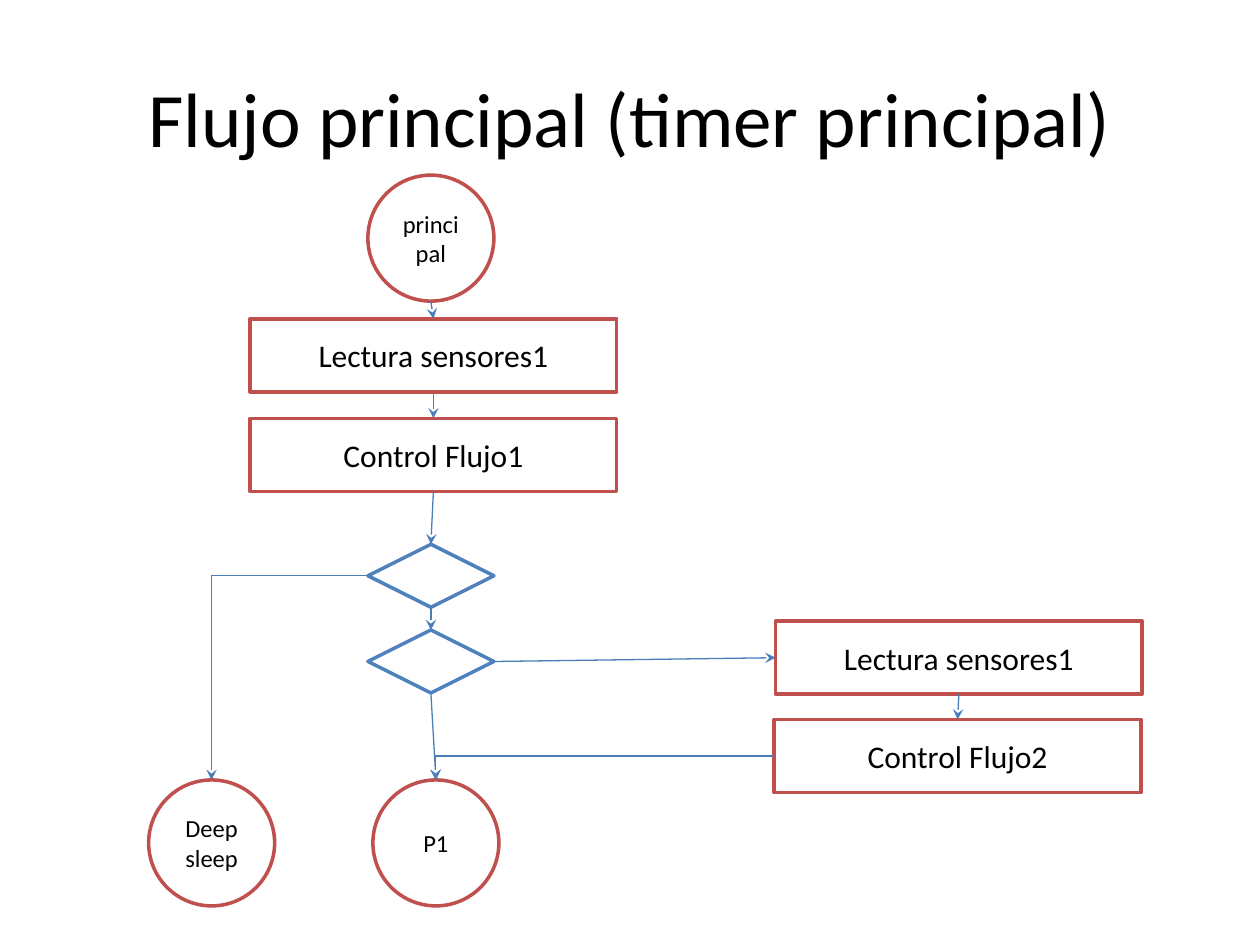
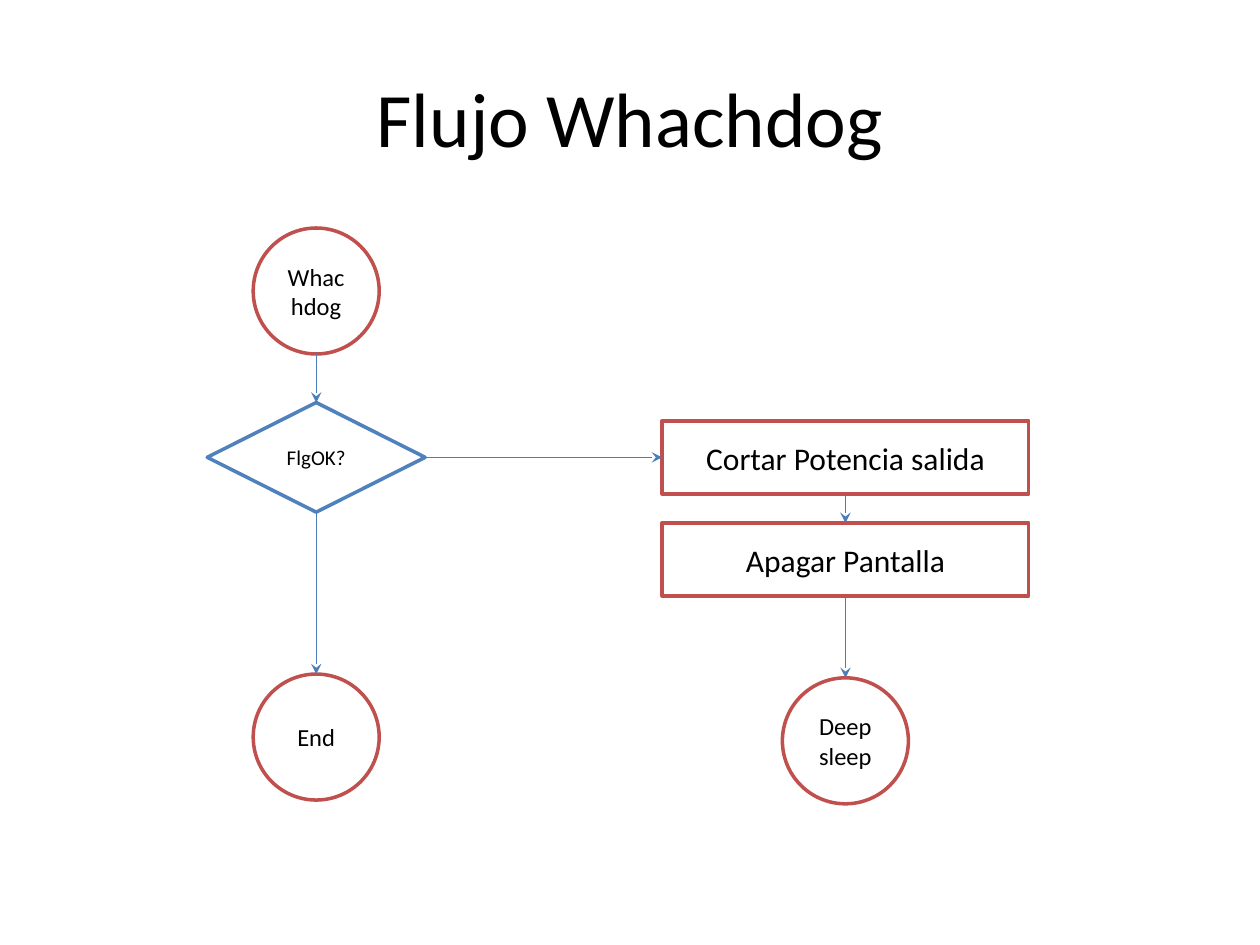
from pptx import Presentation
from pptx.dml.color import RGBColor
from pptx.enum.shapes import MSO_CONNECTOR, MSO_SHAPE
from pptx.enum.text import MSO_ANCHOR, PP_ALIGN
from pptx.oxml.ns import qn
from pptx.util import Inches, Pt
from lxml import etree

STRAIGHT, ELBOW = MSO_CONNECTOR.STRAIGHT, MSO_CONNECTOR.ELBOW
RECTANGLE, ELLIPSE, DIAMOND = MSO_SHAPE.RECTANGLE, MSO_SHAPE.OVAL, MSO_SHAPE.DIAMOND
MIDDLE, CENTER = MSO_ANCHOR.MIDDLE, PP_ALIGN.CENTER

WHITE = RGBColor(0xFF, 0xFF, 0xFF)
BLACK = RGBColor(0x00, 0x00, 0x00)
RED = RGBColor(0xC0, 0x50, 0x4D)
BLUE = RGBColor(0x4F, 0x81, 0xBD)
ARROW_BLUE = RGBColor(0x4A, 0x7D, 0xBA)
FONT = "Calibri"

CELL = Inches(0.1)  # both flows are laid out on this grid
TITLE_BOX = (0.05, 0.04, 0.9, 1 / 6)  # shares of the slide's size

# Node kinds: preset shape, width and height in cells, line colour, text size
TERMINAL = (ELLIPSE, 10, 10, RED, 14)
PROCESS = (RECTANGLE, 29.1, 5.8, RED, 18)
BRANCH = (DIAMOND, 10, 5, BLUE, 12)
QUESTION = (DIAMOND, 17.3, 8.7, BLUE, 12)

# Sides of a node, in the order of its connection sites
TOP, LEFT, BOTTOM, RIGHT = range(4)


def write(shape, text, size):
    frame = shape.text_frame
    frame.word_wrap = True
    frame.vertical_anchor = MIDDLE
    paragraph = frame.paragraphs[0]
    paragraph.alignment = CENTER
    run = paragraph.add_run()
    run.text = text
    run.font.name = FONT
    run.font.size = Pt(size)
    run.font.color.rgb = BLACK


def add_title(slide, text, slide_width, slide_height):
    left, top, width, height = TITLE_BOX
    title = slide.shapes.add_textbox(
        int(left * slide_width), int(top * slide_height),
        int(width * slide_width), int(height * slide_height))
    write(title, text, 44)


def add_node(slide, origin, kind, column, row, text=""):
    """Centre a node on a grid point counted from the origin of its flow."""
    preset, columns, rows, line_color, size = kind
    left, top = origin
    node = slide.shapes.add_shape(
        preset,
        int(left + (column - columns / 2) * CELL),
        int(top + (row - rows / 2) * CELL),
        int(columns * CELL), int(rows * CELL))
    node.shadow.inherit = False
    node.fill.solid()
    node.fill.fore_color.rgb = WHITE
    node.line.color.rgb = line_color
    node.line.width = Pt(2)
    if text:
        write(node, text, size)
    return node


def add_arrow(slide, source, source_side, target, target_side, kind=STRAIGHT):
    arrow = slide.shapes.add_connector(kind, 0, 0, 0, 0)
    arrow.begin_connect(source, source_side)
    arrow.end_connect(target, target_side)
    arrow.line.color.rgb = ARROW_BLUE
    arrow.line.width = Pt(0.75)
    element = arrow.element
    # An ellipse has eight connection sites, two for each side
    for node, side, tag in ((source, source_side, "a:stCxn"),
                            (target, target_side, "a:endCxn")):
        if node.auto_shape_type == ELLIPSE:
            element.find(".//" + qn(tag)).set("idx", str(2 * side))
    if kind == ELBOW:  # a single corner
        element.find(".//" + qn("a:prstGeom")).set("prst", "bentConnector2")
    properties = element.spPr
    outline = properties.find(qn("a:ln"))
    etree.SubElement(outline, qn("a:tailEnd")).set("type", "stealth")
    etree.SubElement(properties, qn("a:effectLst"))


def add_chain(slide, *nodes):
    """Join nodes that stand one below the other."""
    for upper, lower in zip(nodes, nodes[1:]):
        add_arrow(slide, upper, BOTTOM, lower, TOP)


def main_flow(slide, origin):
    # Central column
    start = add_node(slide, origin, TERMINAL, 22.4, 5, "principal")
    sensors = add_node(slide, origin, PROCESS, 22.6, 14.3, "Lectura sensores1")
    control = add_node(slide, origin, PROCESS, 22.6, 22.2, "Control Flujo1")
    sleep_branch = add_node(slide, origin, BRANCH, 22.4, 31.8)
    second_branch = add_node(slide, origin, BRANCH, 22.4, 38.6)
    exit_node = add_node(slide, origin, TERMINAL, 22.8, 53, "P1")
    add_chain(slide, start, sensors, control, sleep_branch, second_branch, exit_node)

    # Left exit
    sleep = add_node(slide, origin, TERMINAL, 5, 53, "Deep sleep")
    add_arrow(slide, sleep_branch, LEFT, sleep, TOP, ELBOW)

    # Second reading on the right
    sensors_again = add_node(slide, origin, PROCESS, 64.3, 38.3, "Lectura sensores1")
    second_control = add_node(slide, origin, PROCESS, 64.2, 46.1, "Control Flujo2")
    add_arrow(slide, second_branch, RIGHT, sensors_again, LEFT)
    add_chain(slide, sensors_again, second_control)
    add_arrow(slide, second_control, LEFT, exit_node, TOP, ELBOW)


def watchdog_flow(slide, origin):
    # Flag check
    start = add_node(slide, origin, TERMINAL, 8.7, 5, "Whachdog")
    question = add_node(slide, origin, QUESTION, 8.7, 18.2, "FlgOK?")
    end = add_node(slide, origin, TERMINAL, 8.7, 40.4, "End")
    add_chain(slide, start, question, end)

    # Shutdown
    cut_power = add_node(slide, origin, PROCESS, 50.7, 18.2, "Cortar Potencia salida")
    screen_off = add_node(slide, origin, PROCESS, 50.7, 26.3, "Apagar Pantalla")
    sleep = add_node(slide, origin, TERMINAL, 50.7, 40.7, "Deep sleep")
    add_arrow(slide, question, RIGHT, cut_power, LEFT)
    add_chain(slide, cut_power, screen_off, sleep)


presentation = Presentation()
presentation.slide_width = Inches(10)
presentation.slide_height = Inches(7.5)
blank_layout = presentation.slide_layouts[6]

for title_text, draw_flow, flow_left, flow_top in (
        ("Flujo principal (timer principal)", main_flow, 1.18, 1.39),
        ("Flujo Whachdog", watchdog_flow, 1.64, 1.81)):
    slide = presentation.slides.add_slide(blank_layout)
    add_title(slide, title_text, presentation.slide_width, presentation.slide_height)
    draw_flow(slide, (Inches(flow_left), Inches(flow_top)))

presentation.save("out.pptx")
